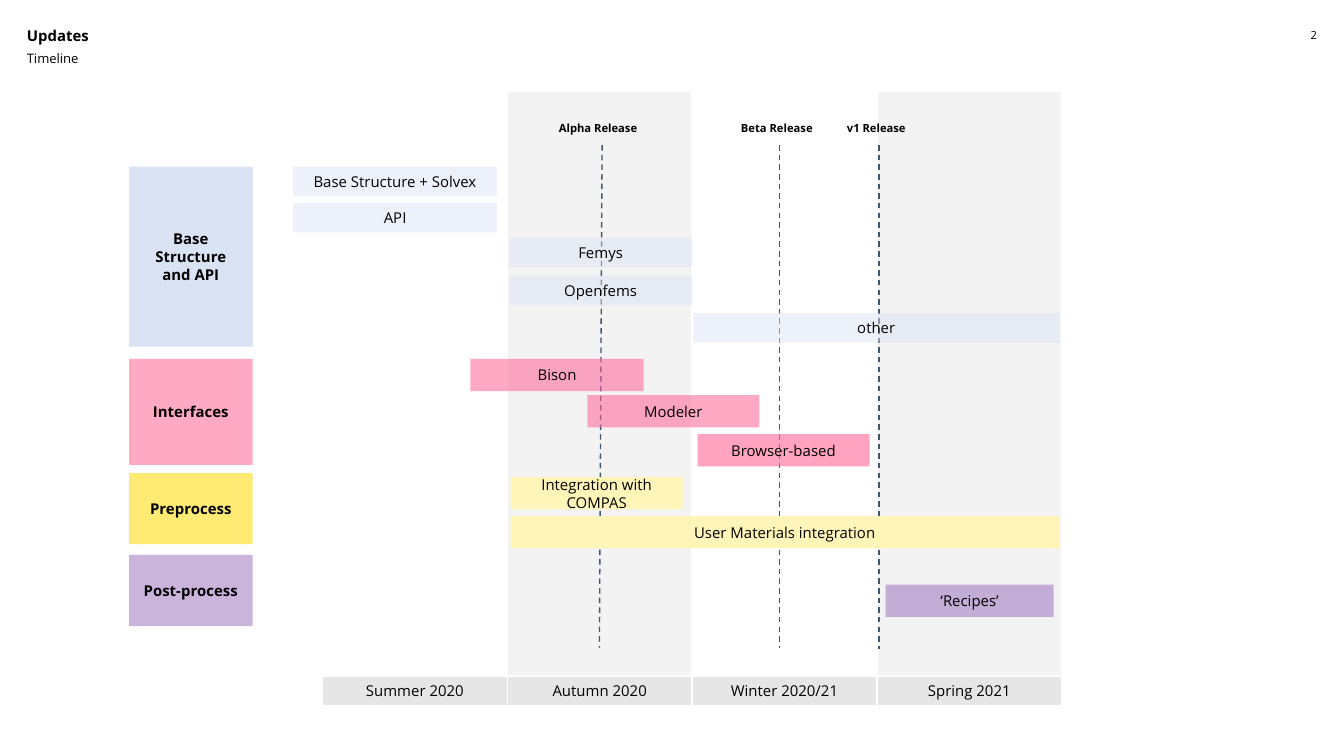
"""Build a project timeline slide with seasons, releases and work packages."""
from lxml import etree
from pptx import Presentation
from pptx.dml.color import RGBColor
from pptx.enum.dml import MSO_LINE
from pptx.enum.shapes import MSO_CONNECTOR, MSO_SHAPE
from pptx.enum.text import MSO_ANCHOR, PP_ALIGN
from pptx.oxml.ns import qn
from pptx.util import Inches, Pt

RECTANGLE = MSO_SHAPE.RECTANGLE
STRAIGHT = MSO_CONNECTOR.STRAIGHT
DASH = MSO_LINE.DASH
TOP, MIDDLE = MSO_ANCHOR.TOP, MSO_ANCHOR.MIDDLE
LEFT, CENTER, RIGHT = PP_ALIGN.LEFT, PP_ALIGN.CENTER, PP_ALIGN.RIGHT

COLORS = {
    "black": "000000",
    "white": "FFFFFF",
    "band": "F3F3F3",
    "season": "E7E6E6",
    "release": "44546A",
    "blue": "DAE3F3",
    "pink": "FF6699",
    "yellow": "FFEB74",
    "pale yellow": "FFF5B9",
    "purple": "7030A0",
}
FORMATS = {
    "title": {"size": Pt(8), "bold": True},
    "subtitle": {"size": Pt(7), "bold": False},
    "number": {"size": Pt(6), "bold": False},
    "release": {"size": Pt(6), "bold": True},
    "category": {"size": Pt(8), "bold": True},
    "task": {"size": Pt(8), "bold": False},
}


def write(box, text, style, align=CENTER, anchor=MIDDLE, inset=0.1):
    """Put one formatted paragraph into a shape."""
    frame = box.text_frame
    settings = {"word_wrap": True, "vertical_anchor": anchor}
    for side in ("left", "top", "right", "bottom"):
        settings[f"margin_{side}"] = Inches(inset)
    for name, value in settings.items():
        setattr(frame, name, value)
    para = frame.paragraphs[0]
    para.alignment = align
    span = para.add_run()
    span.text = text
    for name, value in {"name": "Open Sans", **FORMATS[style]}.items():
        setattr(span.font, name, value)
    span.font.color.rgb = RGBColor.from_string(COLORS["black"])
    return para


def add_block(area, color, alpha=100, outlined=False):
    """Draw a filled rectangle with optional transparency and white outline."""
    block = page.shapes.add_shape(RECTANGLE, *map(Inches, area))
    block.shadow.inherit = False
    block.fill.solid()
    block.fill.fore_color.rgb = RGBColor.from_string(COLORS[color])
    if alpha < 100:
        tint = block.fill._xPr.find(".//" + qn("a:srgbClr"))
        etree.SubElement(tint, qn("a:alpha"), val=str(alpha * 1000))
    if outlined:
        block.line.color.rgb = RGBColor.from_string(COLORS["white"])
        block.line.width = Pt(0.75)
    else:
        block.line.fill.background()
    return block


deck = Presentation()
deck.slide_width, deck.slide_height = Inches(10), Inches(10 * 9 / 16)
page = deck.slides.add_slide(deck.slide_layouts[6])

headings = [
    ("Updates", "title", LEFT, (0.2, 0.21, 4.57, 0.12), 0.9),
    ("Timeline", "subtitle", LEFT, (0.2, 0.39, 4.57, 0.13), 0.9),
    ("2", "number", RIGHT, (9.33, 0.21, 0.47, 0.24), 1.0),
]
for text, style, align, area, spacing in headings:
    box = page.shapes.add_textbox(*map(Inches, area))
    write(box, text, style, align, TOP, 0).line_spacing = spacing

season_left, season_width = 2.4, 1.375
seasons = ["Summer 2020", "Autumn 2020", "Winter 2020/21", "Spring 2021"]
for index in (1, 3):
    left = season_left + index * season_width
    add_block((left, 0.68, season_width, 4.36), "band", outlined=True)
for index, season in enumerate(seasons):
    left = season_left + index * season_width
    block = add_block((left, 5.03, season_width, 0.22), "season", outlined=True)
    write(block, season, "task")

releases = [
    ("Alpha Release", 3.97, 0.28, 4.48, 4.46, 4.82),
    ("Beta Release", 5.3, 0.24, 5.8, 5.8, 4.82),
    ("v1 Release", 6.04, 0.24, 6.54, 6.54, 4.83),
]
for text, left, height, start, end, bottom in releases:
    marker = page.shapes.add_connector(
        STRAIGHT, Inches(start), Inches(1.08), Inches(end), Inches(bottom))
    marker.line.color.rgb = RGBColor.from_string(COLORS["release"])
    marker.line.width = Pt(0.75)
    marker.line.dash_style = DASH
    etree.SubElement(marker.line._get_or_add_ln().getparent(), qn("a:effectLst"))
    box = page.shapes.add_textbox(
        Inches(left), Inches(0.8), Inches(0.96), Inches(height))
    write(box, text, "release", anchor=TOP)
    box.text_frame.margin_bottom = 0

categories = [
    ("Base Structure and API", 1.24, 1.34, "blue", 100),
    ("Interfaces", 2.67, 0.79, "pink", 56),
    ("Preprocess", 3.52, 0.53, "yellow", 100),
    ("Post-process", 4.13, 0.53, "purple", 36),
]
for text, top, height, color, alpha in categories:
    write(add_block((0.96, top, 0.92, height), color, alpha), text, "category")

tasks = [
    ("Base Structure + Solvex", 2.18, 1.24, 1.52, 0.22, "blue", 47),
    ("API", 2.18, 1.51, 1.52, 0.22, "blue", 47),
    ("Femys", 3.79, 1.77, 1.36, 0.22, "blue", 47),
    ("Openfems", 3.79, 2.05, 1.36, 0.22, "blue", 47),
    ("other", 5.16, 2.33, 2.72, 0.22, "blue", 47),
    ("Bison", 3.5, 2.67, 1.29, 0.24, "pink", 56),
    ("Modeler", 4.37, 2.94, 1.28, 0.24, "pink", 56),
    ("Browser-based", 5.19, 3.23, 1.28, 0.24, "pink", 60),
    ("Integration with COMPAS", 3.8, 3.55, 1.28, 0.24, "pale yellow", 100),
    ("User Materials integration", 3.8, 3.84, 4.08, 0.24, "pale yellow", 100),
    ("‘Recipes’", 6.59, 4.35, 1.25, 0.24, "purple", 36),
]
for text, left, top, width, height, color, alpha in tasks:
    write(add_block((left, top, width, height), color, alpha), text, "task")

deck.save("out.pptx")
